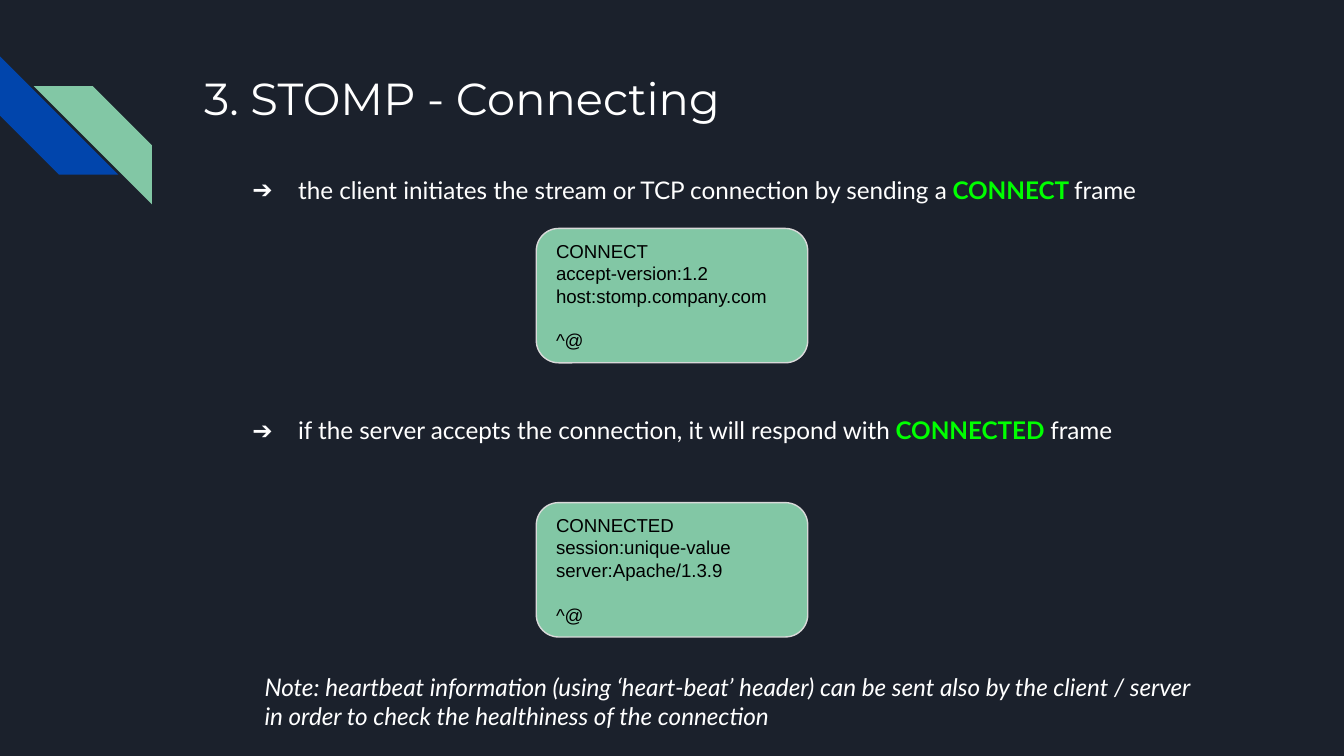
"""Build the STOMP connecting slide."""
import pptx
import pptx.dml.color
import pptx.enum.shapes
import pptx.enum.text
import pptx.oxml.ns
import pptx.util
from lxml import etree

Inches, Pt = pptx.util.Inches, pptx.util.Pt
SHAPES = pptx.enum.shapes.MSO_SHAPE
ANCHORS = pptx.enum.text.MSO_ANCHOR
NAVY, BLUE, GREEN = "1B212C", "0145AC", "82C7A5"
WHITE, BLACK, GREY, LIME = "FFFFFF", "000000", "D9D9D9", "00FF00"

TITLE = "3. STOMP - Connecting"
NOTE = ("Note: heartbeat information (using ‘heart-beat’ header) can be sent also by the "
        "client / server in order to check the healthiness of the connection")
BULLETS = [
    ((1.62, 1.17, 7.21, 1.7),
     "the client initiates the stream or TCP connection by sending a ", "CONNECT ", "frame"),
    ((1.62, 2.96, 7.7, 1.94),
     "if the server accepts the connection, it will respond with ", "CONNECTED ", "frame"),
]
FRAMES = [
    (1.7, ["CONNECT", "accept-version:1.2", "host:stomp.company.com"]),
    (3.74, ["CONNECTED", "session:unique-value", "server:Apache/1.3.9"]),
]
FRAME_END = "^@"
FRAME_SIZE = (2.02, 1)
STRIPES = [(0, 0.42, BLUE, 270, False), (0.25, 0.64, GREEN, 0, True)]
STRIPE_SIDE = 0.88
SLIDE_WIDTH = 10
SLIDE_HEIGHT = SLIDE_WIDTH * 9 / 16


def colour(value):
    return pptx.dml.color.RGBColor.from_string(value)


def set_font(font, name, size, shade):
    font.name, font.size = name, Pt(size)
    font.color.rgb = colour(shade)


def prepare_text(shape, anchor=ANCHORS.TOP):
    frame = shape.text_frame
    frame.word_wrap = True
    frame.vertical_anchor = anchor
    frame.margin_left = frame.margin_right = Inches(0.1)
    frame.margin_top = frame.margin_bottom = Inches(0.1)
    return frame


def add_text(page, place):
    box = page.shapes.add_textbox(*map(Inches, place))
    return prepare_text(box).paragraphs[0]


def add_shape(page, kind, place, fill):
    shape = page.shapes.add_shape(kind, *map(Inches, place))
    shape.shadow.inherit = False
    shape.fill.solid()
    shape.fill.fore_color.rgb = colour(fill)
    return shape


def add_stripe(page, left, top, fill, rotation, mirrored):
    stripe = add_shape(page, SHAPES.DIAGONAL_STRIPE,
                       (left, top, STRIPE_SIDE, STRIPE_SIDE), fill)
    stripe.line.fill.background()
    stripe.rotation = rotation
    if mirrored:
        stripe.element.spPr.find(pptx.oxml.ns.qn("a:xfrm")).set("flipH", "1")


def add_arrow_bullet(para):
    properties = para._p.get_or_add_pPr()
    properties.set("marL", str(Inches(0.5)))
    properties.set("indent", str(Inches(-0.34)))
    para.line_spacing = 1.15
    qn = pptx.oxml.ns.qn
    shade = etree.SubElement(properties, qn("a:buClr"))
    etree.SubElement(shade, qn("a:srgbClr"), val=WHITE)
    etree.SubElement(properties, qn("a:buFont"), typeface="Lato")
    etree.SubElement(properties, qn("a:buChar"), char="➔")


def add_bullet(page, place, lead, command, tail):
    para = add_text(page, place)
    add_arrow_bullet(para)
    set_font(para.font, "Lato", 13, WHITE)
    for text in (lead, command, tail):
        span = para.add_run()
        span.text = text
        if text == command:
            span.font.bold = True
            span.font.color.rgb = colour(LIME)


def add_frame(page, top, lines):
    width, height = FRAME_SIZE
    left = (SLIDE_WIDTH - width) / 2
    box = add_shape(page, SHAPES.ROUNDED_RECTANGLE, (left, top, width, height), GREEN)
    box.line.color.rgb = colour(GREY)
    box.line.width = Pt(0.75)
    frame = prepare_text(box, ANCHORS.MIDDLE)
    frame.text = "\n".join(lines + [FRAME_END])
    for para in frame.paragraphs:
        para.alignment = pptx.enum.text.PP_ALIGN.LEFT
        set_font(para.font, "Arial", 10, BLACK)
    frame.paragraphs[-1].space_before = Pt(12)


def main():
    deck = pptx.Presentation()
    deck.slide_width, deck.slide_height = Inches(SLIDE_WIDTH), Inches(SLIDE_HEIGHT)
    page = deck.slides.add_slide(deck.slide_layouts[6])
    page.background.fill.solid()
    page.background.fill.fore_color.rgb = colour(NAVY)

    for stripe in STRIPES:
        add_stripe(page, *stripe)
    title = add_text(page, (1.42, 0.43, 7.7, 1))
    title.text = TITLE
    set_font(title.font, "Montserrat", 24, WHITE)
    for bullet in BULLETS:
        add_bullet(page, *bullet)
    for top, lines in FRAMES:
        add_frame(page, top, lines)
    note = add_text(page, (1.87, 4.9, 7.21, 0.51))
    note.text = NOTE
    set_font(note.font, "Lato", 13, WHITE)
    note.font.italic = True
    deck.save("out.pptx")


if __name__ == "__main__":
    main()
